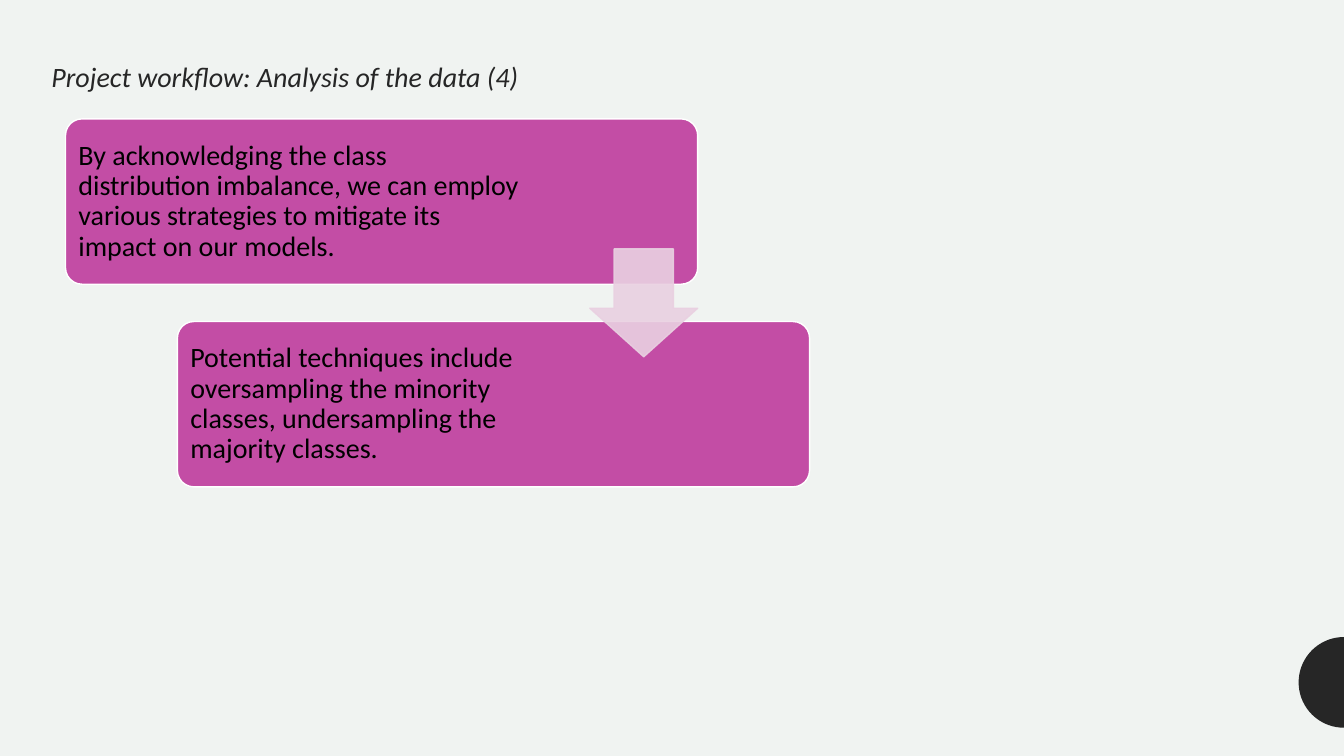
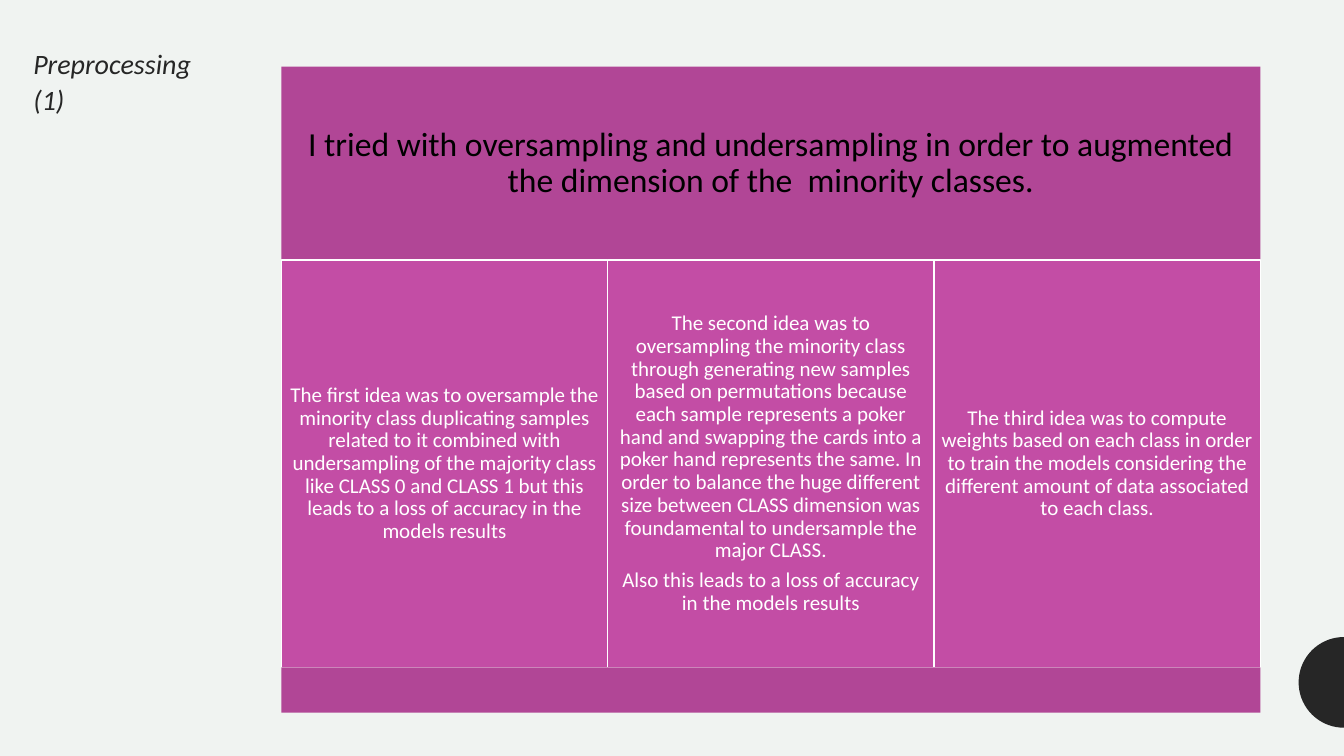
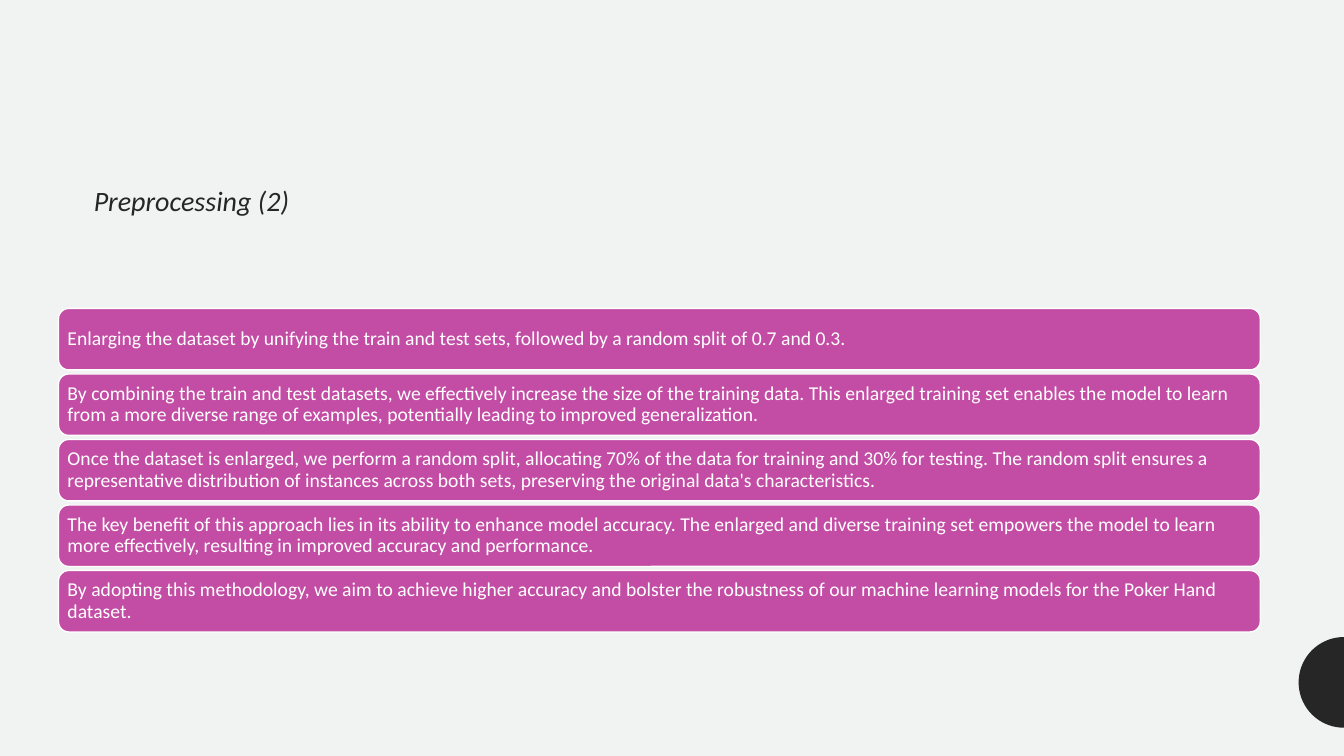
"""Build three slides on class imbalance and preprocessing of poker hand data."""
from dataclasses import dataclass
from math import cos, pi, sin

from lxml import etree
from pptx import Presentation
from pptx.dml.color import RGBColor
from pptx.enum.shapes import MSO_SHAPE
from pptx.enum.text import MSO_ANCHOR, MSO_AUTO_SIZE, PP_ALIGN
from pptx.oxml.ns import qn
from pptx.presentation import Presentation as Deck
from pptx.shapes.autoshape import Shape
from pptx.slide import Slide
from pptx.text.text import TextFrame
from pptx.util import Inches, Pt

RECT, ROUND_RECT = MSO_SHAPE.RECTANGLE, MSO_SHAPE.ROUNDED_RECTANGLE
DOWN_ARROW = MSO_SHAPE.DOWN_ARROW
MIDDLE, NO_FIT = MSO_ANCHOR.MIDDLE, MSO_AUTO_SIZE.NONE
LEFT, CENTER = PP_ALIGN.LEFT, PP_ALIGN.CENTER

FONT = "Calibri"
PAPER, INK, BLACK, WHITE = "F0F3F1", "262626", "000000", "FFFFFF"
MAGENTA, PLUM, BLUSH = "C34DA5", "B14696", "E9D0E1"
SLIDE_WIDTH, SLIDE_HEIGHT = 13.33, 7.5
TITLE_ONLY = 5


@dataclass
class Panel:
    """A filled block with text, measured in inches and points."""

    left: float
    top: float
    width: float
    height: float
    paragraphs: tuple[str, ...] = ()
    kind: MSO_SHAPE = RECT
    fill: str = MAGENTA
    outline: str | None = WHITE
    size: int = 15
    color: str = WHITE
    align: PP_ALIGN = LEFT
    inset: float = 0.06
    right_inset: float | None = None
    corner: float | None = None


def rgb(code: str) -> RGBColor:
    """Turn a hex string into a colour."""
    return RGBColor.from_string(code)


def paint(shape: Shape, fill: str, outline: str | None = None) -> None:
    """Give a shape a flat fill and an optional one-point outline."""
    shape.shadow.inherit = False
    shape.fill.solid()
    shape.fill.fore_color.rgb = rgb(fill)
    if outline is None:
        shape.line.fill.background()
    else:
        shape.line.color.rgb = rgb(outline)
        shape.line.width = Pt(1)


def write(frame: TextFrame, paragraphs: tuple[str, ...], size: int, color: str,
          align: PP_ALIGN, spacing: float, italic: bool = False) -> None:
    """Set the text of a frame and format all its paragraphs."""
    frame.text = "\n".join(paragraphs)
    frame.word_wrap = True
    frame.auto_size = NO_FIT
    frame.vertical_anchor = MIDDLE
    for paragraph in frame.paragraphs:
        paragraph.alignment = align
        paragraph.line_spacing = spacing
        paragraph.space_after = Pt(round(size * 0.35))
        for run in paragraph.runs:
            run.font.name = FONT
            run.font.size = Pt(size)
            run.font.italic = italic
            run.font.color.rgb = rgb(color)


def add_panel(slide: Slide, panel: Panel) -> None:
    """Draw one panel."""
    shape = slide.shapes.add_shape(
        panel.kind, Inches(panel.left), Inches(panel.top),
        Inches(panel.width), Inches(panel.height))
    paint(shape, panel.fill, panel.outline)
    if panel.corner is not None:
        shape.adjustments[0] = panel.corner
    if panel.paragraphs:
        frame = shape.text_frame
        frame.margin_left = frame.margin_top = frame.margin_bottom = Inches(panel.inset)
        frame.margin_right = Inches(
            panel.inset if panel.right_inset is None else panel.right_inset)
        write(frame, panel.paragraphs, panel.size, panel.color, panel.align, 0.9)


def add_half_disc(slide: Slide) -> None:
    """Draw the dark half disc on the right edge."""
    center_y, radius, steps = 6.77, 0.45, 36
    angles = [pi / 2 + pi * step / steps for step in range(steps + 1)]
    rim = [(Inches(SLIDE_WIDTH + radius * cos(angle)),
            Inches(center_y + radius * sin(angle))) for angle in angles]
    builder = slide.shapes.build_freeform(*rim[0], scale=1.0)
    builder.add_line_segments(rim[1:], close=True)
    paint(builder.convert_to_shape(), INK)


def add_step_arrow(slide: Slide, left: float, top: float, side: float) -> None:
    """Draw a slightly transparent arrow leading to the next step."""
    arrow = slide.shapes.add_shape(
        DOWN_ARROW, Inches(left), Inches(top), Inches(side), Inches(side))
    arrow.adjustments[0], arrow.adjustments[1] = 0.55, 0.45
    paint(arrow, BLUSH, BLUSH)
    for color in arrow.element.spPr.iter(qn("a:srgbClr")):
        etree.SubElement(color, qn("a:alpha"), val="90000")


def new_slide(deck: Deck, title: str, left: float, top: float, width: float) -> Slide:
    """Add a slide with its title and the shared half disc."""
    slide = deck.slides.add_slide(deck.slide_layouts[TITLE_ONLY])
    heading = slide.shapes.title
    heading.left, heading.top = Inches(left), Inches(top)
    heading.width, heading.height = Inches(width), Inches(0.9)
    write(heading.text_frame, (title,), 20, INK, LEFT, 1.1, italic=True)
    add_half_disc(slide)
    return slide


def build_analysis(deck: Deck) -> None:
    """Build the two-step workflow slide."""
    slide = new_slide(deck, "Project workflow: Analysis of the data (4)", 0.41, 0.29, 11.67)
    steps = (
        ("By acknowledging the class distribution imbalance, we can employ various "
         "strategies to mitigate its impact on our models.", 1.67),
        ("Potential techniques include oversampling the minority classes, "
         "undersampling the majority classes.", 2.26),
    )
    for index, (step, right_inset) in enumerate(steps):
        add_panel(slide, Panel(
            0.65 + 1.11 * index, 1.18 + 2.01 * index, 6.27, 1.64, (step,), ROUND_RECT,
            size=20, color=BLACK, inset=0.08, right_inset=right_inset, corner=0.1))
    add_step_arrow(slide, 5.85, 2.47, 1.07)


def build_ideas(deck: Deck) -> None:
    """Build the slide with three resampling ideas."""
    slide = new_slide(deck, "Preprocessing (1)", 0.23, 0.34, 1.99)
    left, width = 2.79, 9.71
    header_top, ideas_top, footer_top = 0.66, 2.58, 6.62
    ideas = (
        ("The first idea was to oversample the minority class duplicating samples related "
         "to it combined with undersampling of the majority class like CLASS 0 and CLASS 1 "
         "but this leads to a loss of accuracy in the models results",),
        ("The second idea was to oversampling the minority class through generating new "
         "samples based on permutations because each sample represents a poker hand and "
         "swapping the cards into a poker hand represents the same. In order to balance the "
         "huge different size between CLASS dimension was foundamental to undersample the "
         "major CLASS.",
         "Also this leads to a loss of accuracy in the models results"),
        ("The third idea was to compute weights based on each class in order to train the "
         "models considering the different amount of data associated to each class.",),
    )
    add_panel(slide, Panel(
        left, header_top, width, ideas_top - header_top,
        ("I tried with oversampling and undersampling in order to augmented the dimension "
         "of the  minority classes.",),
        fill=PLUM, outline=None, size=24, color=BLACK, align=CENTER, inset=0.1))
    column = width / len(ideas)
    for index, idea in enumerate(ideas):
        add_panel(slide, Panel(left + column * index, ideas_top, column,
                               footer_top - ideas_top, idea, align=CENTER))
    add_panel(slide, Panel(left, footer_top, width, 0.45, fill=PLUM, outline=None))


def build_split(deck: Deck) -> None:
    """Build the slide on enlarging and splitting the dataset."""
    slide = new_slide(deck, "Preprocessing (2)", 0.83, 1.52, 11.67)
    points = (
        "Enlarging the dataset by unifying the train and test sets, followed by a random "
        "split of 0.7 and 0.3.",
        "By combining the train and test datasets, we effectively increase the size of the "
        "training data. This enlarged training set enables the model to learn from a more "
        "diverse range of examples, potentially leading to improved generalization.",
        "Once the dataset is enlarged, we perform a random split, allocating 70% of the data "
        "for training and 30% for testing. The random split ensures a representative "
        "distribution of instances across both sets, preserving the original data's "
        "characteristics.",
        "The key benefit of this approach lies in its ability to enhance model accuracy. The "
        "enlarged and diverse training set empowers the model to learn more effectively, "
        "resulting in improved accuracy and performance.",
        "By adopting this methodology, we aim to achieve higher accuracy and bolster the "
        "robustness of our machine learning models for the Poker Hand dataset.",
    )
    for index, point in enumerate(points):
        add_panel(slide, Panel(0.58, 3.06 + 0.65 * index, 11.92, 0.61, (point,),
                               ROUND_RECT, size=14))


def main() -> None:
    """Build and save the deck."""
    deck = Presentation()
    deck.slide_width, deck.slide_height = Inches(SLIDE_WIDTH), Inches(SLIDE_HEIGHT)
    backdrop = deck.slide_master.background.fill
    backdrop.solid()
    backdrop.fore_color.rgb = rgb(PAPER)
    build_analysis(deck)
    build_ideas(deck)
    build_split(deck)
    deck.save("out.pptx")


if __name__ == "__main__":
    main()
